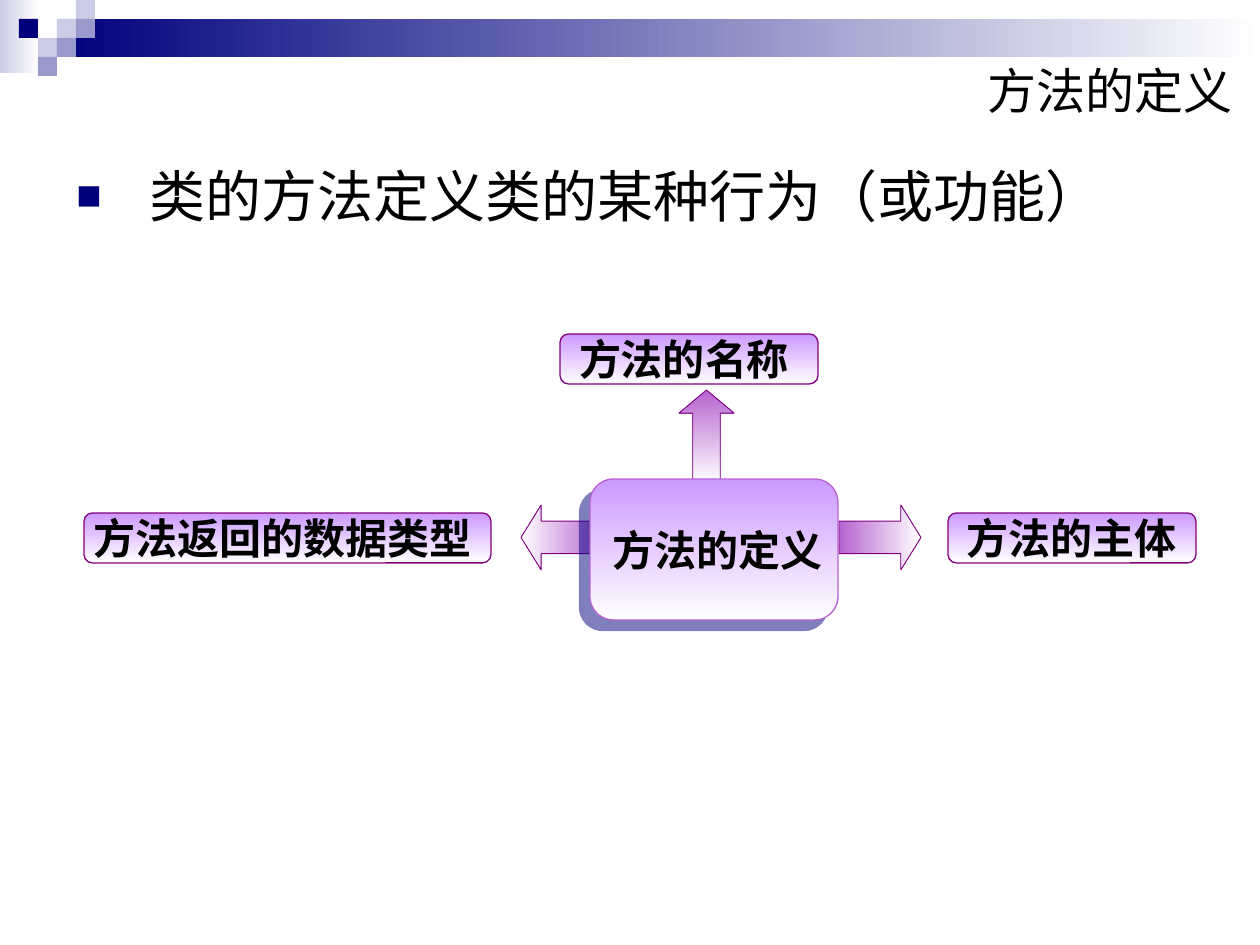
from lxml import etree
from pptx import Presentation
from pptx.dml.color import RGBColor
from pptx.enum.shapes import MSO_SHAPE as SHAPE
from pptx.enum.text import MSO_ANCHOR as ANCHOR, PP_ALIGN as ALIGN
from pptx.oxml.ns import qn
from pptx.util import Pt

PX = 914400 / 126
FONT = "Arial"

WHITE = RGBColor(0xFF, 0xFF, 0xFF)
BLACK = RGBColor(0x00, 0x00, 0x00)
NAVY = RGBColor(0x00, 0x00, 0x7D)
MIST = RGBColor(0xCC, 0xCC, 0xE6)
STEEL = RGBColor(0x99, 0x99, 0xCC)
LILAC = RGBColor(0xCC, 0x99, 0xFF)
ORCHID = RGBColor(0xB5, 0x63, 0xCF)
PURPLE = RGBColor(0x80, 0x00, 0x80)

# Gradient directions, counter-clockwise degrees
RIGHT, LEFT, DOWN = 0, 180, 270


def px(n):
    return round(n * PX)


def add_shape(s, kind, box, color, fade=None, line=None, width=0.75, adj=()):
    """Preset shape, either solid or fading to white in the given direction."""
    sp = s.shapes.add_shape(kind, *map(px, box))
    sp.shadow.inherit = False
    for i, value in enumerate(adj):
        sp.adjustments[i] = value
    if fade is None:
        sp.fill.solid()
        sp.fill.fore_color.rgb = color
    else:
        sp.fill.gradient()
        sp.fill.gradient_angle = fade
        for stop, rgb in zip(sp.fill.gradient_stops, (color, WHITE)):
            stop.color.rgb = rgb
    if line is None:
        sp.line.fill.background()
    else:
        sp.line.color.rgb = line
        sp.line.width = Pt(width)
    return sp


def add_run(p, text, size, bold=False):
    r = p.add_run()
    r.text = text
    r.font.name = FONT
    r.font.size = Pt(size)
    r.font.bold = bold
    r.font.color.rgb = BLACK


def add_card(s, box, text, line=PURPLE, shift=0):
    """Rounded card; shift moves its centred text sideways."""
    sp = add_shape(s, SHAPE.ROUNDED_RECTANGLE, box, LILAC, DOWN, line)
    tf = sp.text_frame
    tf.word_wrap = False
    tf.vertical_anchor = ANCHOR.MIDDLE
    tf.margin_left = px(13 + max(2 * shift, 0))
    tf.margin_right = px(13 + max(-2 * shift, 0))
    p = tf.paragraphs[0]
    p.alignment = ALIGN.CENTER
    add_run(p, text, 24, bold=True)
    return sp


def add_drop_shadow(sp):
    effects = sp._element.spPr.find(qn("a:effectLst"))
    shadow = etree.SubElement(effects, qn("a:outerShdw"), blurRad="0",
                              dist=str(Pt(8.5)), dir="8100000",
                              algn="ctr", rotWithShape="0")
    color = etree.SubElement(shadow, qn("a:srgbClr"), val=str(NAVY))
    etree.SubElement(color, qn("a:alpha"), val="50000")


def header(s, x, y, w):
    """Fading band with a mosaic of small squares at its left end."""
    cell = 19
    add_shape(s, SHAPE.RECTANGLE, (x, y, 39, 73), MIST, RIGHT)
    add_shape(s, SHAPE.RECTANGLE,
              (x + 3 * cell, y + cell, w - 3 * cell, 2 * cell), NAVY, RIGHT)
    mosaic = [(3, 1, MIST), (4, 0, MIST), (4, 1, STEEL), (2, 2, MIST),
              (1, 1, NAVY), (3, 2, STEEL), (2, 3, STEEL)]
    for col, row, color in mosaic:
        add_shape(s, SHAPE.RECTANGLE,
                  (x + col * cell, y + row * cell, cell, cell), color)


def title(s, x, y, w, h):
    tf = s.shapes.add_textbox(*map(px, (x, y, w, h))).text_frame
    tf.word_wrap = True
    tf.vertical_anchor = ANCHOR.MIDDLE
    p = tf.paragraphs[0]
    p.alignment = ALIGN.RIGHT
    add_run(p, "方法的定义", 28)


def body(s, x, y, w, h):
    tf = s.shapes.add_textbox(*map(px, (x, y, w, h))).text_frame
    tf.word_wrap = True
    p = tf.paragraphs[0]
    pPr = p._p.get_or_add_pPr()
    pPr.set("marL", str(px(73)))
    pPr.set("indent", str(px(-73)))
    color = etree.SubElement(pPr, qn("a:buClr"))
    etree.SubElement(color, qn("a:srgbClr"), val=str(NAVY))
    etree.SubElement(pPr, qn("a:buSzPct"), val="75000")
    etree.SubElement(pPr, qn("a:buFont"), typeface=FONT)
    etree.SubElement(pPr, qn("a:buChar"), char="■")
    add_run(p, "类的方法定义类的某种行为（或功能）", 32)


def diagram(s, x, y):
    """Central card with arrows to the three parts of a method."""
    # Arrows
    arrows = [
        (SHAPE.UP_ARROW, (595, 56, 55, 93), DOWN, 0.42),
        (SHAPE.LEFT_ARROW, (437, 171, 82, 65), LEFT, 0.31),
        (SHAPE.RIGHT_ARROW, (755, 171, 82, 65), RIGHT, 0.31),
    ]
    for kind, (dx, dy, w, h), fade, head in arrows:
        add_shape(s, kind, (x + dx, y + dy, w, h), ORCHID, fade,
                  PURPLE, 0.5, (0.5, head))

    # Central card
    center = add_card(s, (x + 506, y + 145, 248, 141), "方法的定义",
                      ORCHID, shift=4)
    add_drop_shadow(center)

    # Outer cards
    cards = [
        ("方法的名称", 476, 0, 258, -5),
        ("方法的主体", 864, 179, 248, 0),
        ("方法返回的数据类型", 0, 179, 407, -5),
    ]
    for text, dx, dy, w, shift in cards:
        add_card(s, (x + dx, y + dy, w, 50), text, shift=shift)


def main():
    prs = Presentation()
    prs.slide_width, prs.slide_height = px(1260), px(945)
    s = prs.slides.add_slide(prs.slide_layouts[6])
    header(s, 0, 0, 1260)
    title(s, 857, 55, 388, 69)
    body(s, 64, 155, 1134, 624)
    diagram(s, 84, 334)
    prs.save("out.pptx")


if __name__ == "__main__":
    main()
